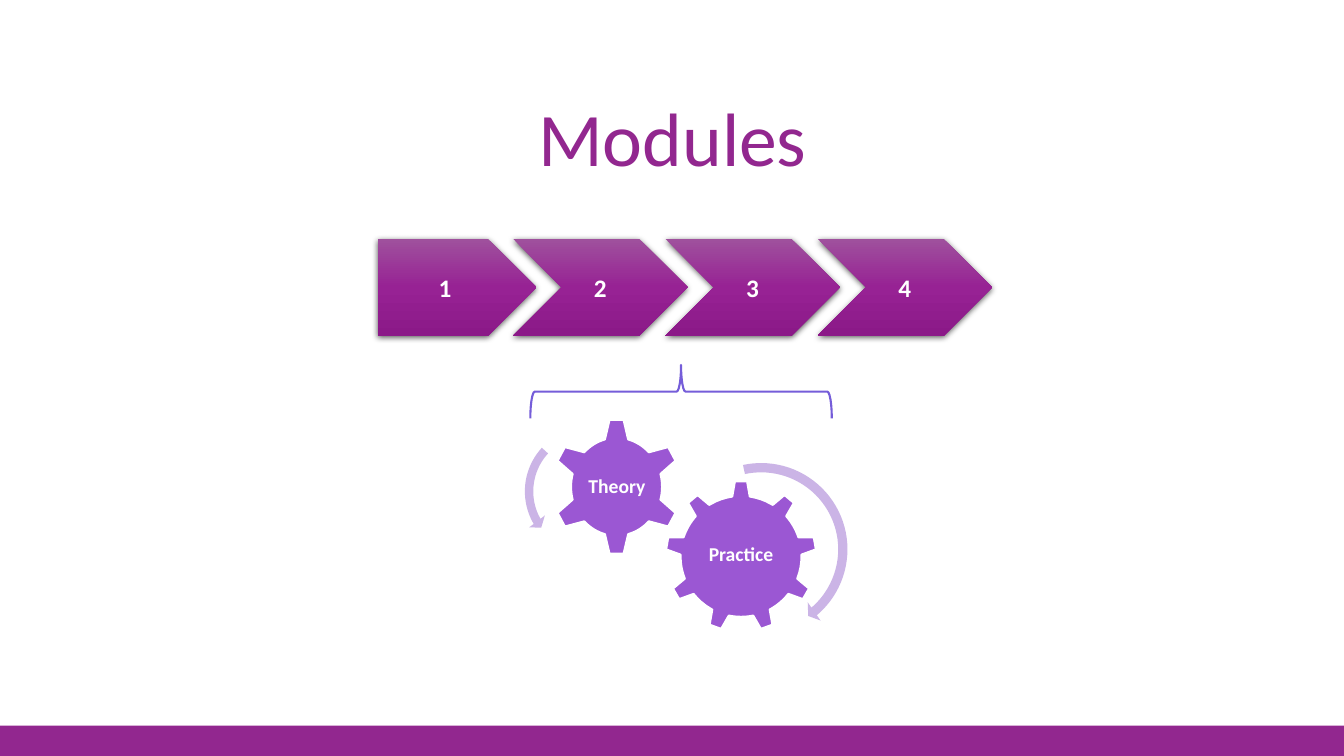
import pptx
import pptx.dml.color
import pptx.enum.shapes
import pptx.enum.text
import pptx.oxml.ns
import pptx.util
from lxml import etree

SHAPE = pptx.enum.shapes.MSO_SHAPE
ANCHOR = pptx.enum.text.MSO_ANCHOR
qn = pptx.oxml.ns.qn


def px(n):
    return pptx.util.Emu(round(n * 9144))


def rgb(value):
    return pptx.dml.color.RGBColor.from_string(value)


def write(sp, text, size=18, color="FFFFFF", bold=False, inset=None,
          anchor=ANCHOR.MIDDLE, spacing=None, font="Calibri"):
    tf = sp.text_frame
    tf.word_wrap = True
    tf.vertical_anchor = anchor
    if inset is not None:
        tf.margin_left = tf.margin_right = px(inset)
        tf.margin_top = tf.margin_bottom = px(inset)
    p = tf.paragraphs[0]
    p.alignment = pptx.enum.text.PP_ALIGN.CENTER
    if spacing:
        p.line_spacing = spacing
    r = p.add_run()
    r.text = text
    r.font.name = font
    r.font.size = pptx.util.Pt(size)
    r.font.bold = bold
    r.font.color.rgb = rgb(color)


class ModuleSlide:
    purple = "92278F"
    violet = "9B57D3"
    lilac = "CBB4E6"
    indigo = "755DD9"
    step_stops = ((0, "9F519D"), (50, "972294"), (100, "8B1988"))

    def __init__(self, prs):
        self.s = prs.slides.add_slide(prs.slide_layouts[6])

    def shape(self, kind, x, y, w, h, fill=None, line=None, adj=(), rotation=0):
        sp = self.s.shapes.add_shape(kind, px(x), px(y), px(w), px(h))
        sp.rotation = rotation
        for i, value in enumerate(adj):
            sp.adjustments[i] = value
        if fill:
            sp.fill.solid()
            sp.fill.fore_color.rgb = rgb(fill)
        else:
            sp.fill.background()
        if line:
            sp.line.color.rgb = rgb(line)
            sp.line.width = pptx.util.Pt(1.5)
        else:
            sp.line.fill.background()
        sp.shadow.inherit = False
        return sp

    def label(self, text, x, y, w, h, **style):
        sp = self.s.shapes.add_textbox(px(x), px(y), px(w), px(h))
        write(sp, text, spacing=0.9, **style)

    def step(self, kind, text, x, w):
        sp = self.shape(kind, x, 237, w, 96)
        sp.fill.gradient()
        sp.fill.gradient_angle = 270
        spPr = sp._element.spPr
        stops = spPr.find(qn("a:gradFill")).find(qn("a:gsLst"))
        for stop in list(stops):
            stops.remove(stop)
        for pos, color in self.step_stops:
            gs = etree.SubElement(stops, qn("a:gs"), pos=str(pos * 1000))
            etree.SubElement(gs, qn("a:srgbClr"), val=color)
        shadow = etree.SubElement(
            spPr.find(qn("a:effectLst")), qn("a:outerShdw"),
            blurRad=str(pptx.util.Pt(4.5)), dist=str(pptx.util.Pt(1.5)),
            dir="5400000", algn="ctr", rotWithShape="0")
        black = etree.SubElement(shadow, qn("a:srgbClr"), val="000000")
        etree.SubElement(black, qn("a:alpha"), val="63000")
        write(sp, text, bold=True)

    def gear(self, kind, text, box, label_box):
        self.shape(kind, *box, fill=self.violet, line="FFFFFF")
        self.label(text, *label_box, size=14, bold=True, inset=2)


def main():
    prs = pptx.Presentation()
    prs.slide_width, prs.slide_height = px(1333), px(750)
    slide = ModuleSlide(prs)
    slide.shape(SHAPE.RECTANGLE, 0, 720, 1333, 30, fill=slide.purple)
    slide.label("Modules", 147, 51, 1040, 135, size=54, color=slide.purple,
                anchor=ANCHOR.BOTTOM)

    slide.step(SHAPE.PENTAGON, "1", 375, 157)
    for i in range(3):
        slide.step(SHAPE.CHEVRON, str(i + 2), 509 + 151 * i, 173)

    slide.gear(SHAPE.GEAR_9, "Practice", (660, 477, 150, 150), (690, 512, 90, 77))
    slide.gear(SHAPE.GEAR_6, "Theory", (547, 415, 129, 136), (580, 449, 64, 68))
    slide.shape(SHAPE.CIRCULAR_ARROW, 663, 453, 184, 184, fill=slide.lilac,
                adj=(0.05, 3.13, 29.74, 154.69, 0.06))
    slide.shape(SHAPE.LEFT_CIRCULAR_ARROW, 515, 418, 139, 139, fill=slide.lilac,
                adj=(0.06, 4.3, 104.89, 148.38, 0.07), rotation=335.3)
    slide.shape(SHAPE.RIGHT_BRACE, 649, 239, 53, 299, line=slide.indigo, rotation=270)
    prs.save("out.pptx")


if __name__ == "__main__":
    main()
